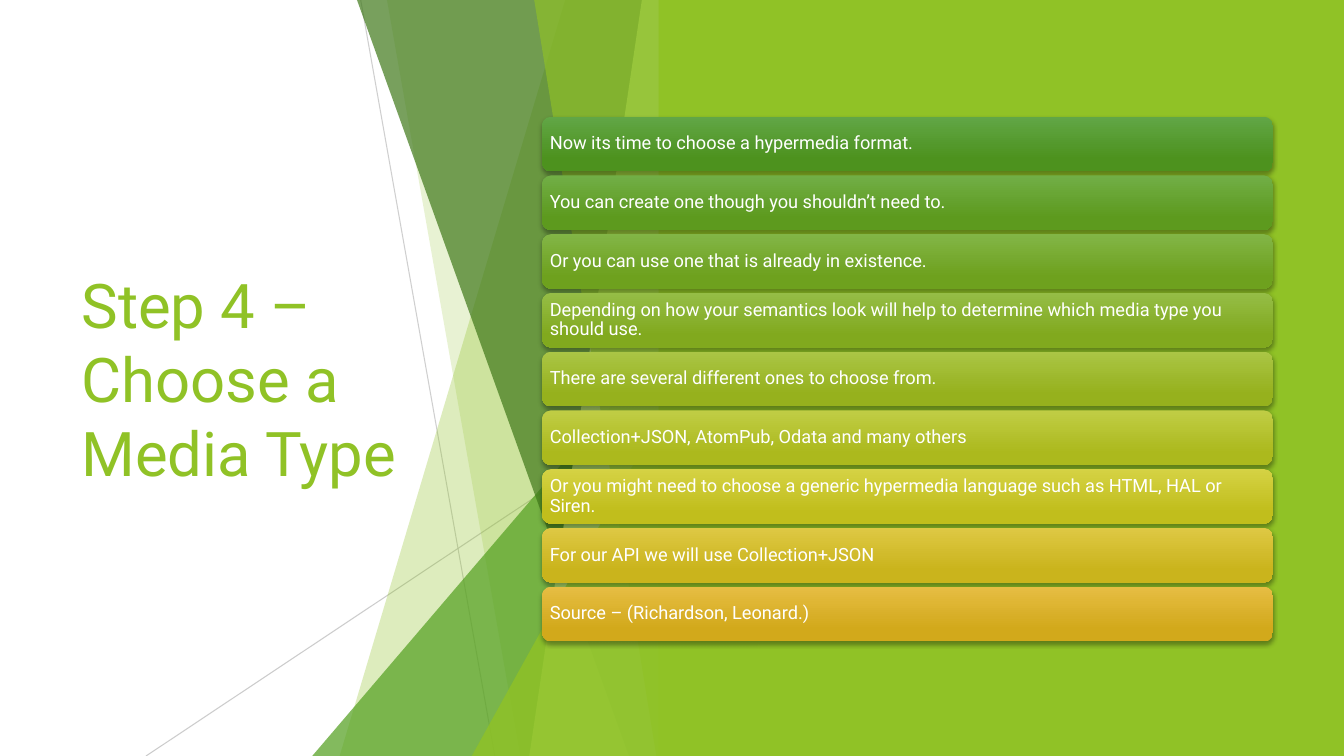
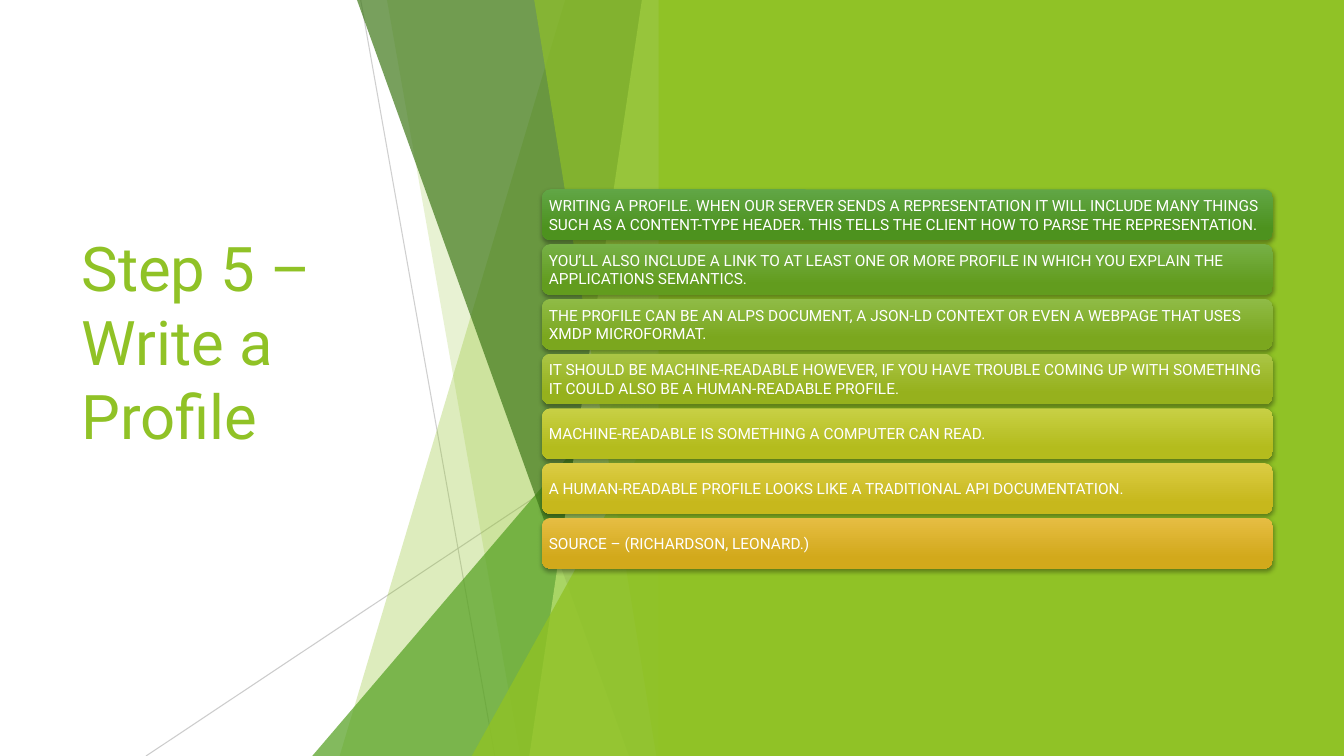
"""Two slides on API design steps: a title beside green facets and a stack of statement bars."""
from colorsys import hls_to_rgb, rgb_to_hls
from dataclasses import dataclass

from lxml.etree import SubElement
from pptx import Presentation
from pptx.dml.color import RGBColor as RGB
from pptx.enum.shapes import MSO_CONNECTOR as LINK, MSO_SHAPE as SHAPE
from pptx.enum.text import MSO_ANCHOR as ANCHOR, MSO_AUTO_SIZE as AUTO, PP_ALIGN as ALIGN
from pptx.oxml.ns import qn
from pptx.util import Cm, Pt

STEPS = [
    {
        "title": "Step 4 – Choose a Media Type",
        "title_lift": 0,
        "size": 13,
        "spacing": 0.9,
        "bar_height": 1.38,
        "statements": [
            "Now its time to choose a hypermedia format.",
            "You can create one though you shouldn’t need to.",
            "Or you can use one that is already in existence.",
            "Depending on how your semantics look will help to determine which media type you should use.",
            "There are several different ones to choose from.",
            "Collection+JSON, AtomPub, Odata and many others",
            "Or you might need to choose a generic hypermedia language such as HTML, HAL or Siren.",
            "For our API we will use Collection+JSON",
            "Source – (Richardson, Leonard.)",
        ],
    },
    {
        "title": "Step 5 – Write a Profile",
        "title_lift": 1.86,
        "size": 11,
        "spacing": 1.0,
        "bar_height": 1.28,
        "statements": [
            "WRITING A PROFILE. WHEN OUR SERVER SENDS A REPRESENTATION IT WILL INCLUDE MANY THINGS "
            "SUCH AS A CONTENT-TYPE HEADER. THIS TELLS THE CLIENT HOW TO PARSE THE REPRESENTATION.",
            "YOU’LL ALSO INCLUDE A LINK TO AT LEAST ONE OR MORE PROFILE IN WHICH YOU EXPLAIN THE "
            "APPLICATIONS SEMANTICS.",
            "THE PROFILE CAN BE AN ALPS DOCUMENT, A JSON-LD CONTEXT OR EVEN A WEBPAGE THAT USES "
            "XMDP MICROFORMAT.",
            "IT SHOULD BE MACHINE-READABLE HOWEVER, IF YOU HAVE TROUBLE COMING UP WITH SOMETHING "
            "IT COULD ALSO BE A HUMAN-READABLE PROFILE.",
            "MACHINE-READABLE IS SOMETHING A COMPUTER CAN READ.",
            "A HUMAN-READABLE PROFILE LOOKS LIKE A TRADITIONAL API DOCUMENTATION.",
            "SOURCE – (RICHARDSON, LEONARD.)",
        ],
    },
]


@dataclass(frozen=True)
class Theme:
    """Colours, font and type sizes of the deck."""
    font: str = "Roboto"
    title_size: int = 44
    lime: str = "90C226"
    green: str = "54A021"
    forest: str = "3F7819"
    pale: str = "C0E474"
    hairline: str = "BFBFBF"
    white: str = "FFFFFF"
    bar_first: str = "4D921E"
    bar_last: str = "D2A91B"
    bar_glow: tuple = (20, 20, 40)


THEME = Theme()
WIDTH, HEIGHT = 33.87, 19.05
TITLE_BOX = (1.8, 3.84, 9.86, 11.38)
PANEL_LEFT, FACET_RIGHT, FACET_TOP = 16.6, 16.92, -0.02
BAR_LEFT, BAR_WIDTH, BAR_GAP, STACK_CENTRE = 13.66, 18.42, 0.1, 9.55

HAIRLINES = [(9.09, 0, 12.47, HEIGHT, 75), (FACET_RIGHT, 10.24, 3.68, HEIGHT, 80)]
FACETS = [
    ("band", 14.25, 8.56, THEME.lime, 30),
    ("band", 9.75, 13.11, THEME.lime, 20),
    ("wedge", 7.87, 8.46, THEME.green, 72),
    ("band", 8.99, 15.85, THEME.forest, 70),
    ("band", 16.18, 13.34, THEME.pale, 70),
    ("band", 13.46, 16.54, THEME.lime, 65),
    ("wedge", 11.89, 9.98, THEME.lime, 80),
]


def cms(*lengths):
    """Convert lengths in centimetres."""
    return [Cm(length) for length in lengths]


def fade(colour, percent):
    """Make a colour element translucent."""
    SubElement(colour, qn("a:alpha"), val=str(percent * 1000))


def first_colour(shape):
    """Return the first explicit colour element of a shape."""
    return next(shape._element.iter(qn("a:srgbClr")))


def paint(shape, colour):
    """Give a shape a flat fill without outline or shadow."""
    shape.shadow.inherit = False
    shape.line.fill.background()
    shape.fill.solid()
    shape.fill.fore_color.rgb = RGB.from_string(colour)


def style_text(paragraph, size, colour):
    """Align a paragraph left and set its type."""
    paragraph.alignment = ALIGN.LEFT
    for run in paragraph.runs:
        run.font.name = THEME.font
        run.font.size = Pt(size)
        run.font.color.rgb = RGB.from_string(colour)


def add_title(slide, step):
    """Place the slide title on the left."""
    title = slide.shapes.title
    title.left, title.top, title.width, title.height = cms(*TITLE_BOX)
    frame = title.text_frame
    frame.text = step["title"]
    frame.word_wrap = True
    frame.auto_size = AUTO.NONE
    frame.vertical_anchor = ANCHOR.MIDDLE
    frame.margin_bottom = Cm(0.13 + step["title_lift"])
    style_text(frame.paragraphs[0], THEME.title_size, THEME.lime)


def add_band(shapes, top_x, bottom_x):
    """Draw a slanted band that reaches the facet edge."""
    outline = shapes.build_freeform(*cms(top_x, FACET_TOP))
    corners = [(FACET_RIGHT, FACET_TOP), (FACET_RIGHT, HEIGHT), (bottom_x, HEIGHT)]
    outline.add_line_segments([cms(*corner) for corner in corners], close=True)
    return outline.convert_to_shape()


def add_wedge(shapes, left, top):
    """Draw a right triangle with its apex on the facet edge."""
    wedge = shapes.add_shape(SHAPE.ISOSCELES_TRIANGLE,
                             *cms(left, top, FACET_RIGHT - left, HEIGHT - top))
    wedge.adjustments[0] = 1
    return wedge


def add_backdrop(shapes):
    """Draw the hairlines, the facets and the lime panel."""
    for *ends, opacity in HAIRLINES:
        hairline = shapes.add_connector(LINK.STRAIGHT, *cms(*ends))
        hairline.line.width = Pt(0.75)
        hairline.line.color.rgb = RGB.from_string(THEME.hairline)
        fade(first_colour(hairline), opacity)
        SubElement(hairline._element.spPr, qn("a:effectLst"))
    draw = {"band": add_band, "wedge": add_wedge}
    for kind, first, second, colour, opacity in FACETS:
        facet = draw[kind](shapes, first, second)
        paint(facet, colour)
        fade(first_colour(facet), opacity)
    panel = shapes.add_shape(SHAPE.RECTANGLE, *cms(PANEL_LEFT, 0, WIDTH - PANEL_LEFT, HEIGHT))
    paint(panel, THEME.lime)


def bar_shades(share):
    """Return the top and base colour of a bar at a share of the stack."""
    first, last = (rgb_to_hls(*(part / 255 for part in RGB.from_string(colour)))
                   for colour in (THEME.bar_first, THEME.bar_last))
    mixed = hls_to_rgb(*(a + (b - a) * share for a, b in zip(first, last)))
    base = [round(part * 255) for part in mixed]
    glow = [part + extra for part, extra in zip(base, THEME.bar_glow)]
    return RGB(*glow), RGB(*base)


def shade_bar(bar, share):
    """Give a bar its vertical gradient and soft shadow."""
    bar.line.fill.background()
    bar.fill.gradient()
    bar.fill.gradient_angle = 270
    for stop, place, colour in zip(bar.fill.gradient_stops, (0, 0.78), bar_shades(share)):
        stop.position = place
        stop.color.rgb = colour
    bar.shadow.inherit = False
    effects = bar._element.spPr.find(qn("a:effectLst"))
    shadow = SubElement(effects, qn("a:outerShdw"), blurRad=str(Pt(3)), dist=str(Pt(2)),
                        dir="5400000", rotWithShape="0")
    fade(SubElement(shadow, qn("a:srgbClr"), val="000000"), 35)


def add_bars(shapes, step):
    """Stack one bar per statement around the shared centre line."""
    statements, height = step["statements"], step["bar_height"]
    pitch = height + BAR_GAP
    top = STACK_CENTRE - (len(statements) * pitch - BAR_GAP) / 2
    for index, statement in enumerate(statements):
        bar = shapes.add_shape(SHAPE.ROUNDED_RECTANGLE,
                               *cms(BAR_LEFT, top + index * pitch, BAR_WIDTH, height))
        shade_bar(bar, index / (len(statements) - 1))
        frame = bar.text_frame
        frame.text = statement
        frame.word_wrap = True
        frame.vertical_anchor = ANCHOR.MIDDLE
        inset = Cm(step["size"] / 100)
        frame.margin_left = frame.margin_right = inset
        frame.margin_top = frame.margin_bottom = inset
        frame.paragraphs[0].line_spacing = step["spacing"]
        style_text(frame.paragraphs[0], step["size"], THEME.white)


def build():
    """Build and save the deck."""
    deck = Presentation()
    deck.slide_width, deck.slide_height = cms(WIDTH, HEIGHT)
    title_only = deck.slide_layouts[5]
    for step in STEPS:
        slide = deck.slides.add_slide(title_only)
        add_title(slide, step)
        add_backdrop(slide.shapes)
        add_bars(slide.shapes, step)
    deck.save("out.pptx")


build()
